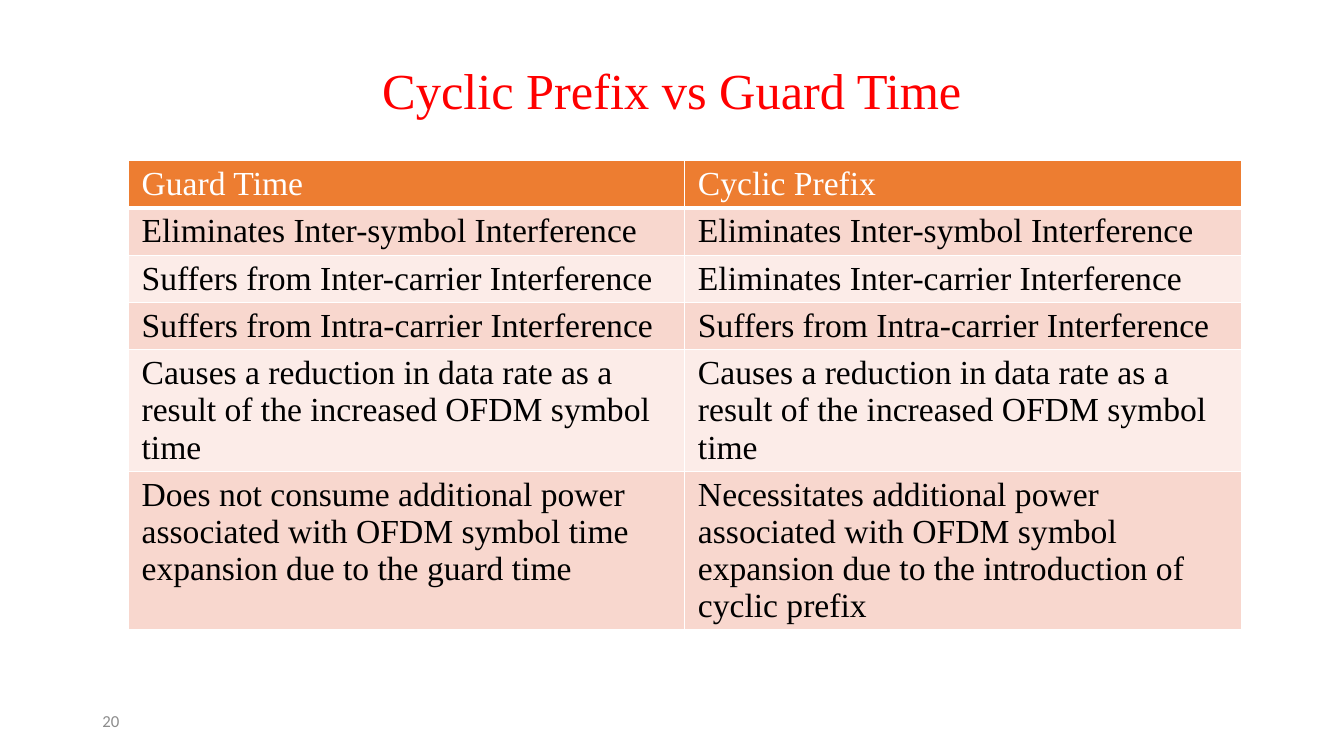
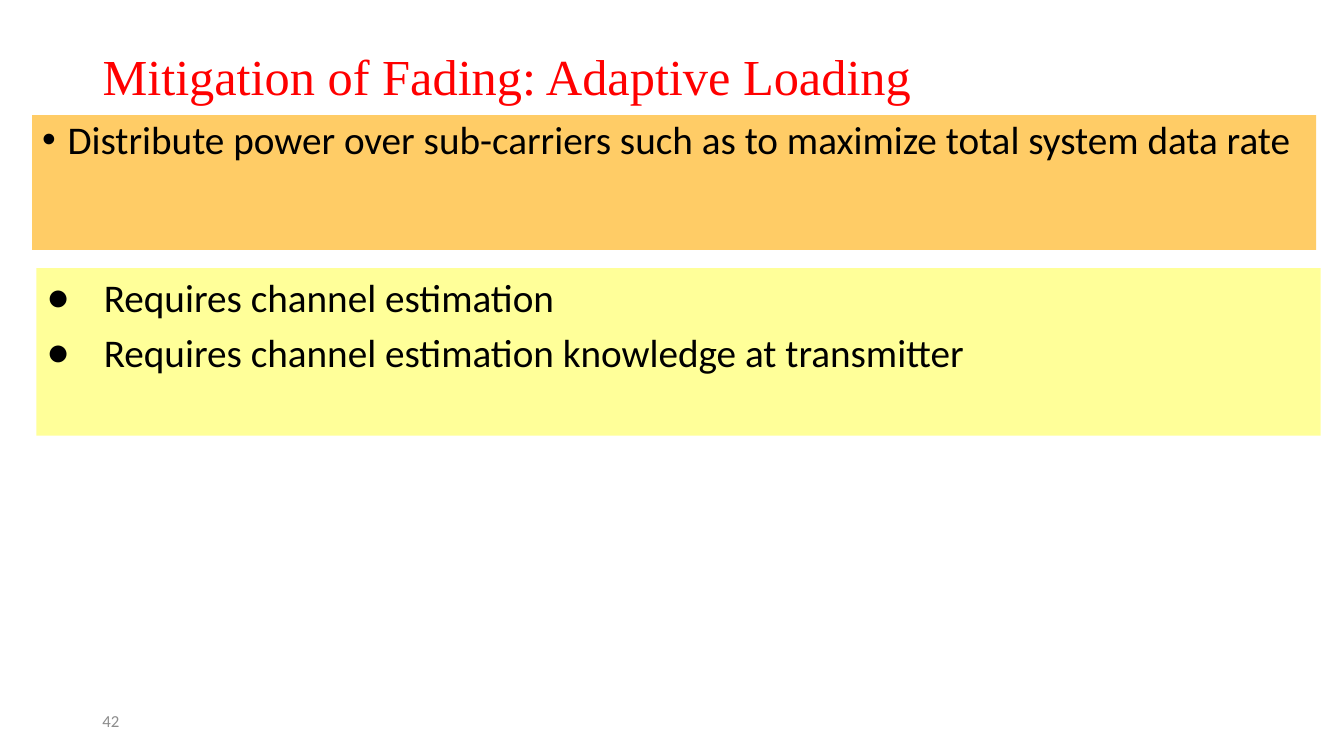
"""Builds two slides on OFDM: guard intervals compared, and adaptive loading."""
from pptx import Presentation, util as u
from pptx.dml.color import RGBColor
from pptx.enum import shapes, text
from pptx.oxml.ns import qn
from lxml import etree

SERIF, SANS = "Times New Roman", "Calibri"
RED, GREY, BLACK, WHITE = "FF0000", "8C8C8C", "000000", "FFFFFF"
HEADER, BANDS = "ED7D31", ("F8D7CE", "FCECE8")
ORANGE, YELLOW = "FFCC66", "FFFF99"
LEFT, TITLE_TOP, TITLE_WIDTH = 2.33, 1.01, 29.21
PANEL_WIDTH = 32.36
TITLE_ONLY, TITLE_AND_BODY = 5, 1


def color(value):
    """Turn a hex string into a colour."""
    return RGBColor.from_string(value)


def fill(target, value):
    """Fill a shape or a cell with one solid colour."""
    target.fill.solid()
    target.fill.fore_color.rgb = color(value)


def place(box, left, top, width, height):
    """Move and size a shape, in centimetres."""
    box.left, box.top = u.Cm(left), u.Cm(top)
    box.width, box.height = u.Cm(width), u.Cm(height)


def add_bullet(para, sign, indent):
    """Give a paragraph a bullet that hangs by the indent."""
    props = para._p.get_or_add_pPr()
    props.set("marL", str(u.Cm(indent)))
    props.set("indent", str(-u.Cm(indent)))
    etree.SubElement(props, qn("a:buFont"), typeface="Arial")
    etree.SubElement(props, qn("a:buChar"), char=sign)


def write(frame, lines, *, size, font, ink, align=text.PP_ALIGN.LEFT,
          anchor=text.MSO_ANCHOR.TOP, spacing=1.0, gap=0, bullet=None, indent=0):
    """Write one formatted paragraph per line into a text frame."""
    frame.word_wrap = True
    frame.auto_size = text.MSO_AUTO_SIZE.NONE
    frame.vertical_anchor = anchor
    for index, line in enumerate(lines):
        para = frame.add_paragraph() if index else frame.paragraphs[0]
        if bullet:
            add_bullet(para, bullet, indent)
        para.alignment, para.line_spacing = align, spacing
        para.space_before = u.Pt(gap if index else 0)
        span = para.add_run()
        span.text = line
        span.font.size, span.font.name = u.Pt(size), font
        span.font.color.rgb = color(ink)


def add_borders(cell, bottom):
    """Draw white lines round a cell; bottom is the lower line's points."""
    props = cell._tc.get_or_add_tcPr()
    widths = {"a:lnL": 1, "a:lnR": 1, "a:lnT": 1, "a:lnB": bottom}
    for index, (tag, points) in enumerate(widths.items()):
        line = etree.Element(qn(tag), w=str(u.Pt(points)))
        paint = etree.SubElement(line, qn("a:solidFill"))
        etree.SubElement(paint, qn("a:srgbClr"), val=WHITE)
        props.insert(index, line)


class Deck:
    """The presentation, its style and the current page."""

    def __init__(self):
        """Start a widescreen presentation."""
        self.file = Presentation()
        self.file.slide_width, self.file.slide_height = u.Cm(33.87), u.Cm(19.05)
        self.page = None

    def new_page(self, layout, title, number, height, align=text.PP_ALIGN.LEFT):
        """Add a page with its title and page number."""
        self.page = self.file.slides.add_slide(self.file.slide_layouts[layout])
        box = self.page.shapes.title
        place(box, LEFT, TITLE_TOP, TITLE_WIDTH, height)
        write(box.text_frame, [title], size=36, font=SERIF, ink=RED, align=align,
              anchor=text.MSO_ANCHOR.MIDDLE, spacing=0.9)
        box = self.page.shapes.add_textbox(u.Cm(LEFT), u.Cm(17.65), u.Cm(7.62), u.Cm(1.02))
        write(box.text_frame, [number], size=12, font=SANS, ink=GREY,
              anchor=text.MSO_ANCHOR.MIDDLE)

    def body(self, left, top, height, paint, lines, **style):
        """Turn the body placeholder into a coloured list panel."""
        self.panel(self.page.placeholders[1], left, top, height, paint, lines, **style)

    def rectangle(self, left, top, height, paint, lines, **style):
        """Add a coloured list panel."""
        box = self.page.shapes.add_shape(shapes.MSO_SHAPE.RECTANGLE, 0, 0, 0, 0)
        box.shadow.inherit = False
        self.panel(box, left, top, height, paint, lines, **style)

    def panel(self, box, left, top, height, paint, lines, **style):
        """Place, paint and fill a list panel."""
        place(box, left, top, PANEL_WIDTH, height)
        fill(box, paint)
        box.line.fill.background()
        write(box.text_frame, lines, size=28, font=SANS, ink=BLACK, **style)

    def table(self, left, top, column, heights, rows):
        """Add a table with a header row and banded rows."""
        width = column * len(rows[0])
        grid = self.page.shapes.add_table(
            len(rows), len(rows[0]), u.Cm(left), u.Cm(top), u.Cm(width), u.Cm(sum(heights))).table
        for row, (height, words) in enumerate(zip(heights, rows)):
            grid.rows[row].height = u.Cm(height)
            for col, word in enumerate(words):
                cell = grid.cell(row, col)
                cell.margin_left = cell.margin_right = u.Cm(0.33)
                fill(cell, BANDS[(row - 1) % 2] if row else HEADER)
                add_borders(cell, 1 if row else 3)
                cell.vertical_anchor = text.MSO_ANCHOR.TOP
                write(cell.text_frame, [word], size=24, font=SERIF,
                      ink=BLACK if row else WHITE)
                frame_props = cell.text_frame._txBody.bodyPr
                frame_props.attrib.clear()
                for child in list(frame_props):
                    frame_props.remove(child)


def compare_guards(deck):
    """Build the page that compares guard time and cyclic prefix."""
    deck.new_page(TITLE_ONLY, "Cyclic Prefix vs Guard Time", "20", 2.67,
                  align=text.PP_ALIGN.CENTER)
    reduction = "Causes a reduction in data rate as a result of the increased OFDM symbol time"
    deck.table(3.24, 4.05, 14.02, [1.18] * 4 + [3.06, 4], [
        ("Guard Time", "Cyclic Prefix"),
        ("Eliminates Inter-symbol Interference", "Eliminates Inter-symbol Interference"),
        ("Suffers from Inter-carrier Interference", "Eliminates Inter-carrier Interference"),
        ("Suffers from Intra-carrier Interference", "Suffers from Intra-carrier Interference"),
        (reduction, reduction),
        ("Does not consume additional power associated with OFDM symbol time expansion "
         "due to the guard time",
         "Necessitates additional power associated with OFDM symbol expansion "
         "due to the introduction of cyclic prefix"),
    ])


def explain_loading(deck):
    """Build the page on adaptive loading."""
    deck.new_page(TITLE_AND_BODY, "Mitigation of Fading: Adaptive Loading", "42", 1.96)
    deck.body(0.81, 2.9, 3.4, ORANGE,
              ["Distribute power over sub-carriers such as to maximize total system data rate"],
              spacing=0.9, bullet="•", indent=0.64)
    deck.rectangle(0.92, 6.76, 4.22, YELLOW,
                   ["Requires channel estimation",
                    "Requires channel estimation knowledge at transmitter"],
                   gap=5.6, bullet="●", indent=1.45)


def main():
    """Build both pages and save the file."""
    deck = Deck()
    compare_guards(deck)
    explain_loading(deck)
    deck.file.save("out.pptx")


if __name__ == "__main__":
    main()
